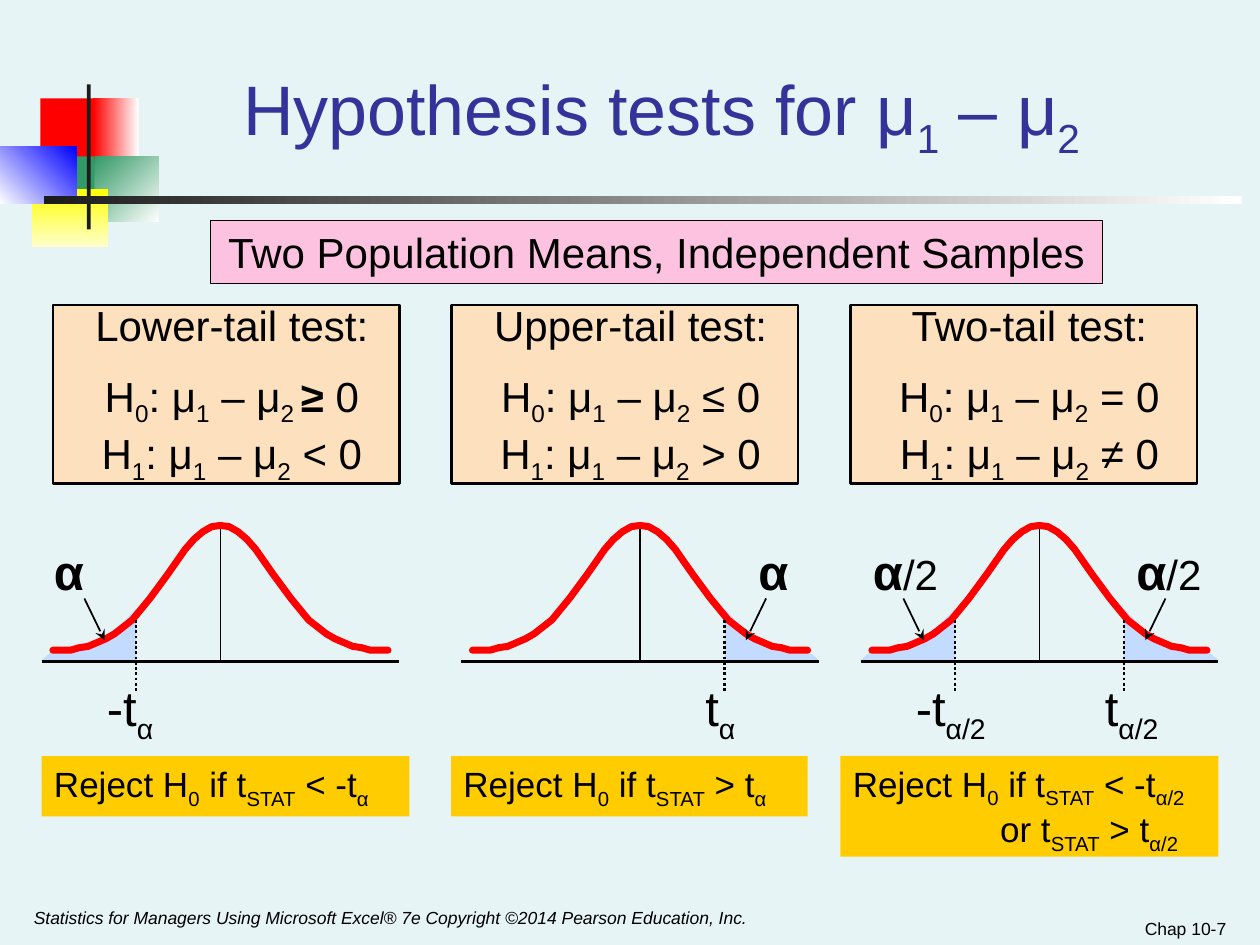
from lxml.etree import SubElement
from pptx import Presentation
from pptx.dml.color import RGBColor
from pptx.enum.dml import MSO_LINE_DASH_STYLE as Dash
from pptx.enum.shapes import MSO_CONNECTOR as Connector, MSO_SHAPE as Preset
from pptx.enum.text import MSO_ANCHOR as Anchor, PP_ALIGN as Align
from pptx.oxml.ns import qn
from pptx.util import Cm, Pt

TITLE = "Hypothesis tests for μ|1| – μ|2 |"
BANNER = "Two Population Means, Independent Samples"
FOOTER = "Statistics for Managers Using Microsoft Excel® 7e Copyright ©2014 Pearson Education, Inc."
PAGE = "Chap 10-7"

DECORATION = [
    (0.32, 0.78, 0.48, 0.52, "FF0000", None, 0),
    (0.74, 0.78, 0.36, 0.52, "FF0000", "FFFFFF", 0),
    (0.75, 1.24, 0.51, 0.52, "339966", "FFFFFF", 45),
    (0.43, 1.24, 0.32, 0.52, "339966", None, 0),
    (0.25, 1.5, 0.61, 0.46, "FFFF00", "FFFFCC", 90),
    (0, 1.16, 0.61, 0.46, "FFFFFF", "0000FF", 315),
    (0.69, 0.67, 0.03, 1.15, "1C1C1C", None, 0),
    (0.35, 1.56, 9.51, 0.06, "1C1C1C", "FFFFFF", 0),
]

PANELS = [
    {
        "heading": "Lower-tail test:",
        "hypotheses": ["H|0|: μ|1| – μ|2 |*≥* 0", "H|1|: μ|1| – μ|2| < 0"],
        "center": 1.75,
        "tails": [(-1, "*α*", -1.42, "-t|α|", -1)],
        "rule": ["Reject H|0| if t|STAT| < -t|α|"],
        "rule_box": (0.33, 2.92, 0.48),
    },
    {
        "heading": "Upper-tail test:",
        "hypotheses": ["H|0|: μ|1| – μ|2| ≤ 0", "H|1|: μ|1| – μ|2| > 0"],
        "center": 5.08,
        "tails": [(1, "*α*", 0.84, "t|α|", 0.42)],
        "rule": ["Reject H|0| if t|STAT| > t|α|"],
        "rule_box": (3.58, 2.83, 0.48),
    },
    {
        "heading": "Two-tail test:",
        "hypotheses": ["H|0|: μ|1| – μ|2| = 0", "H|1|: μ|1| – μ|2| ≠ 0"],
        "center": 8.25,
        "tails": [(-1, "*α*/2", -1.42, "-t|α/2|", -1.08), (1, "*α*/2", 0.67, "t|α/2|", 0.42)],
        "rule": ["Reject H|0| if t|STAT| < -t|α/2|", "or t|STAT| > t|α/2|"],
        "rule_box": (6.67, 3, 0.8),
    },
]
PANEL_LEFT, PANEL_STEP = 0.42, 3.165
CURVE_STEP = 0.07
CURVE = [(19, 5.16), (17, 5.16), (16, 5.14), (15, 5.13), (14, 5.1), (13, 5.07), (12, 5.03), (10, 4.92),
         (8, 4.75), (6, 4.56), (5, 4.46), (4, 4.36), (3, 4.28), (2, 4.22), (1, 4.18), (0, 4.17)]
TAIL = [(1.42, 5.24), (1.35, 5.18), (1.1, 5.13), (0.97, 5.09), (0.82, 4.99),
        (0.67, 4.83), (0.67, 5.25), (1.42, 5.25)]
ARROW_START = {-1: 1.08, 1: 1}
AXIS_HALF, CUTOFF, PEAK, BASE = 1.42, 0.67, 4.17, 5.25


def color(value):
    return RGBColor.from_string(value)


def lengths(*inches):
    return [Cm(value * 2.54) for value in inches]


def set_values(target, values):
    for name, value in values.items():
        setattr(target, name, value)


def set_line(shape, hex_color, width):
    shape.line.color.rgb = color(hex_color)
    shape.line.width = Pt(width)


def add_box(box, fill, line_width=0, end_fill=None, angle=0):
    shape = shapes.add_shape(Preset.RECTANGLE, *lengths(*box))
    shape.shadow.inherit = False
    if end_fill:
        shape.fill.gradient()
        shape.fill.gradient_angle = -angle % 360
        for stop, value in zip(shape.fill.gradient_stops, (fill, end_fill)):
            stop.color.rgb = color(value)
    else:
        shape.fill.solid()
        shape.fill.fore_color.rgb = color(fill)
    if line_width:
        set_line(shape, "000000", line_width)
    else:
        shape.line.fill.background()
    return shape


def write(shape, lines, size, align=Align.LEFT, hex_color="000000", anchor=Anchor.TOP, italic=False, bold_size=None):
    frame = shape.text_frame
    margin_x, margin_y = lengths(0.1, 0.05)
    set_values(frame, {"word_wrap": True, "vertical_anchor": anchor, "margin_left": margin_x,
                       "margin_right": margin_x, "margin_top": margin_y, "margin_bottom": margin_y})
    for index, line in enumerate(lines):
        paragraph = frame.add_paragraph() if index else frame.paragraphs[0]
        paragraph.alignment = align
        for part_index, part in enumerate(line.split("*")):
            bold = part_index % 2 == 1
            for piece_index, piece in enumerate(part.split("|")):
                if not piece:
                    continue
                run = paragraph.add_run()
                run.text = piece
                set_values(run.font, {"name": "Arial", "size": Pt(bold_size if bold and bold_size else size),
                                      "bold": bold, "italic": italic})
                run.font.color.rgb = color(hex_color)
                if piece_index % 2:
                    run.font._element.set("baseline", "-25000")
    return frame.paragraphs


def add_text(box, lines, size, **options):
    return write(shapes.add_textbox(*lengths(*box)), lines, size, **options)


def add_line(start, end, width, dash=None, arrow=False):
    connector = shapes.add_connector(Connector.STRAIGHT, *lengths(*start, *end))
    set_line(connector, "000000", width)
    if dash:
        connector.line.dash_style = dash
    if arrow:
        SubElement(connector.line._get_or_add_ln(), qn("a:tailEnd"), type="stealth")
    SubElement(connector._element.spPr, qn("a:effectLst"))


def add_outline(points, fill=None):
    first, *rest = [lengths(*point) for point in points]
    builder = shapes.build_freeform(*first, scale=1.0)
    builder.add_line_segments(rest, close=bool(fill))
    shape = builder.convert_to_shape()
    shape.shadow.inherit = False
    if fill:
        shape.fill.solid()
        shape.fill.fore_color.rgb = color(fill)
        shape.line.fill.background()
    else:
        shape.fill.background()
        set_line(shape, "FF0000", 4)
        outline = shape.line._get_or_add_ln()
        outline.set("cap", "rnd")
        SubElement(outline, qn("a:round"))


def add_curve(center, tails):
    add_line((center, PEAK), (center, BASE), 0.75)
    for side, *_ in tails:
        add_outline([(center + side * x, y) for x, y in TAIL], "C3DBFF")
    for side in (-1, 1):
        add_outline([(center + side * step * CURVE_STEP, y) for step, y in CURVE])
    add_line((center - AXIS_HALF, BASE), (center + AXIS_HALF, BASE), 2)
    for side, area, area_left, cutoff, cutoff_left in tails:
        start = ARROW_START[side]
        edge = center + side * CUTOFF
        add_text((center + area_left, 4.25, 0.92 if "/" in area else 0.42, 0.56), [area], 24, bold_size=28)
        add_line((center + side * start, 4.75), (center + side * (start - 0.16), 5.08), 1, arrow=True)
        add_text((center + cutoff_left, 5.33, 1.08, 0.63), [cutoff], 28)
        add_line((edge, 4.92), (edge, 5.5), 1.5, dash=Dash.ROUND_DOT)


presentation = Presentation()
presentation.slide_width, presentation.slide_height = lengths(10, 7.5)
slide = presentation.slides.add_slide(presentation.slide_layouts[6])
slide.background.fill.solid()
slide.background.fill.fore_color.rgb = color("E7F4F5")
shapes = slide.shapes

for *box, fill, end_fill, angle in DECORATION:
    add_box(box, fill, end_fill=end_fill, angle=angle)

add_text((1.26, 0.25, 8.07, 1.08), [TITLE], 40, align=Align.CENTER, hex_color="333399", anchor=Anchor.BOTTOM)
write(add_box((1.67, 1.75, 7.08, 0.5), "FCC2E0", 0.75), [BANNER], 24, align=Align.CENTER)

for index, panel in enumerate(PANELS):
    left = PANEL_LEFT + index * PANEL_STEP
    add_box((left, 2.42, 2.75, 1.42), "FDE0BD", 1.5)
    paragraphs = add_text((left - 0.08, 2.33, 3, 1.58), [panel["heading"], *panel["hypotheses"]], 24,
                          align=Align.CENTER)
    paragraphs[1].space_before = Pt(11.5)
    add_curve(panel["center"], panel["tails"])
    rule_left, width, height = panel["rule_box"]
    rule = write(add_box((rule_left, 6, width, height), "FFCC00"), panel["rule"], 20)
    for paragraph in rule[1:]:
        paragraph.line_spacing = 0.85
        paragraph._p.get_or_add_pPr().set("marL", str(Cm(2.97)))

add_text((0.17, 7.15, 6.42, 0.35), [FOOTER], 10, italic=True)
add_text((7.5, 7.15, 2.33, 0.35), [PAGE], 10, align=Align.RIGHT, anchor=Anchor.BOTTOM)

presentation.save("out.pptx")
